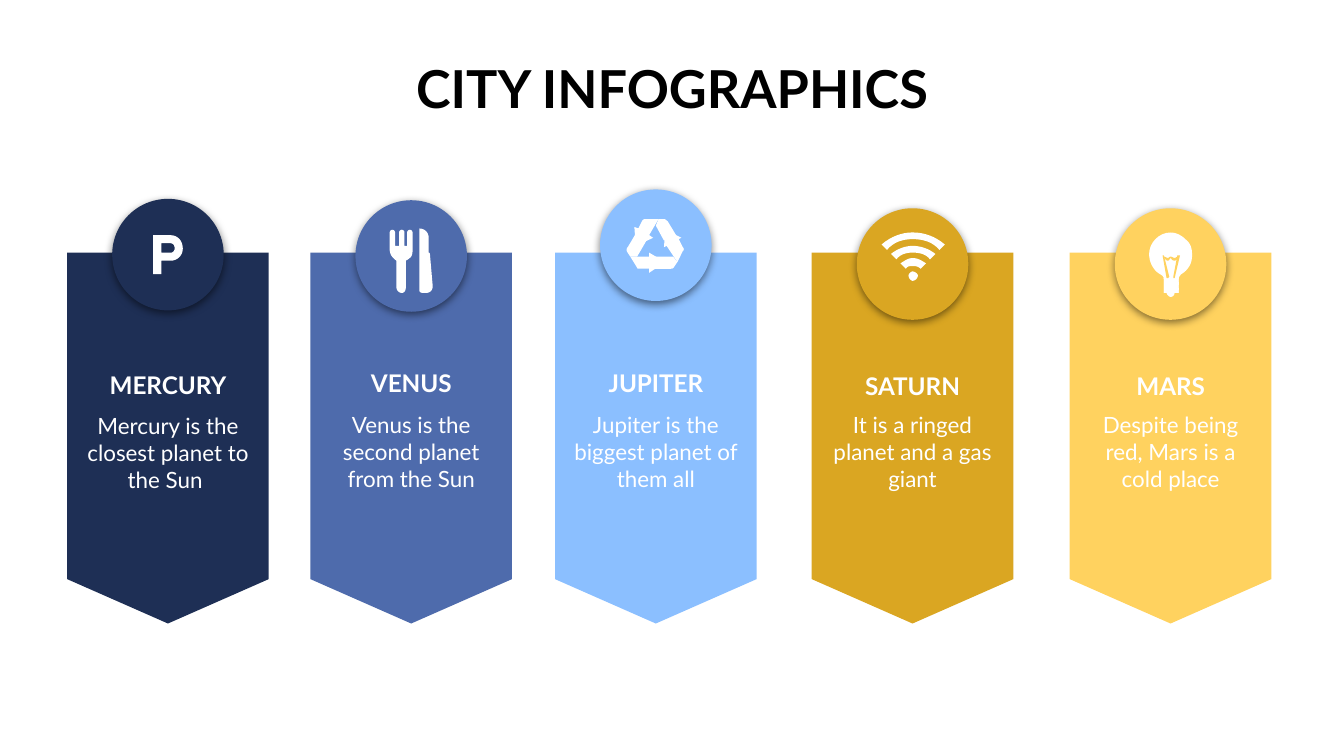
from lxml import etree
from pptx import Presentation
from pptx import util as u
from pptx.dml.color import RGBColor
from pptx.enum import shapes, text
from pptx.oxml.ns import qn

THEME = {
    "font": "Lato", "ink": "000000", "paper": "FFFFFF",
    "title": 28, "label": 13, "body": 12,
}

# Icon outlines in hundredths of an inch on the slide.
PARK = [
    "M127,181 C129,181,130,183,130,185 C130,186,129,188,127,188 L120,188 L120,181 Z "
    "M114,175 L114,204 L120,204 L120,194 L127,194 C132,194,136,190,136,185 "
    "C136,179,132,175,127,175 Z",
]
FOOD = [
    "M292,171 C291,171,290,172,290,173 L290,186 C290,189,292,192,295,194 L295,214 "
    "C295,216,297,218,299,218 C301,218,302,216,302,214 L302,194 C304,193,305,192,306,191 "
    "C307,189,307,188,307,186 L307,173 C307,172,306,171,305,171 C304,171,303,172,303,173 "
    "L303,183 L301,183 L301,173 C301,172,300,171,299,171 C298,171,297,172,297,173 "
    "L297,183 L294,183 L294,173 C294,172,293,171,292,171 Z",
    "M312,170 L312,216 C312,217,313,218,315,218 L317,218 C320,218,322,216,322,213 "
    "L320,190 C320,189,320,188,319,188 L319,177 C319,173,316,170,312,170 Z",
    "M316,200 C315,200,315,201,315,202 C315,202,315,203,316,203 "
    "C317,203,318,202,318,202 C318,201,317,200,316,200 Z",
]
CYCLE = [
    "M487,191 L487,200 L499,200 C500,200,501,200,502,198 L504,195 L501,191 Z",
    "M473,174 L467,184 C466,185,466,187,467,188 L469,191 L474,191 L481,179 Z",
    "M490,163 L488,168 L494,179 L503,175 L497,165 C496,164,495,163,494,163 Z",
    "M483,188 L483,191 L469,191 L474,199 C474,200,475,200,476,200 L483,200 L483,203 L495,195 Z",
    "M495,171 L494,184 L496,183 L504,195 L508,187 C509,186,509,185,508,184 "
    "L505,178 L507,177 Z",
    "M481,163 C480,163,479,163,478,164 L475,170 L472,169 L473,183 L486,177 L483,175 L490,163 Z",
]
WIFI = [
    "M679,183 C674,183,668,185,663,189 L667,193 C670,189,675,188,679,188 "
    "C684,188,689,189,692,193 L696,189 C691,185,685,183,679,183 Z",
    "M679,192 C676,192,673,194,670,196 L674,200 C675,198,677,198,679,198 "
    "C681,198,683,198,685,200 L689,196 C686,194,683,192,679,192 Z",
    "M679,202 C678,202,676,204,676,205 C676,207,678,209,679,209 "
    "C681,209,683,207,683,205 C683,204,681,202,679,202 Z",
    "M679,173 C671,173,663,176,656,182 L660,186 C665,180,672,178,679,178 "
    "C687,178,694,180,699,186 L703,182 C696,176,688,173,679,173 Z",
]
BULB = [
    "M869,216 C869,216,868,217,868,217 L868,218 C868,219,870,221,871,221 "
    "C873,221,874,219,874,218 L874,217 C874,217,874,216,873,216 Z",
    "M871,173 C862,173,855,181,855,189 C855,195,858,201,863,204 C865,205,866,206,866,208 "
    "L866,218 L877,218 L877,208 C877,206,878,205,879,204 C884,201,887,196,887,190 "
    "C887,185,886,181,882,178 C879,175,875,173,871,173 Z",
    "M865,207 C866,207,866,207,866,208 L866,218 L877,218 L877,207 Z",
    "M866,210 L866,212 L877,212 L877,210 Z",
    "M866,214 L866,216 L877,216 L877,214 Z",
]
WIRE = [
    "M866,191 L866,192 C867,192,867,194,869,194 C870,194,870,193,871,192 "
    "C872,193,872,194,874,194 C875,194,876,193,877,192 L877,191 C875,191,875,192,874,192 "
    "C873,192,872,191,871,191 C870,191,870,192,869,192 C868,192,867,191,866,191 Z",
    "M866,190 L865,190 L868,207 L869,207 L870,206 L866,190 Z",
    "M877,190 L876,190 L873,206 L873,207 L874,207 L878,190 Z",
]

# label, body, colour, left, disc top, label top, body top, icon, icon cut-outs
CARDS = [
    ("MERCURY", "Mercury is the closest planet to the Sun ", "1E2F55",
     0.5, 1.48, 2.62, 2.97, PARK, []),
    ("VENUS", "Venus is the second planet from the Sun", "4E6BAC",
     2.31, 1.49, 2.61, 2.96, FOOD, []),
    ("JUPITER", "Jupiter is the biggest planet of them all", "8BBFFF",
     4.13, 1.41, 2.61, 2.96, CYCLE, []),
    ("SATURN", "It is a ringed planet and a gas giant", "DAA622",
     6.04, 1.55, 2.63, 2.96, WIFI, []),
    ("MARS", "Despite being red, Mars is a cold place", "FFD25F",
     7.96, 1.55, 2.63, 2.96, BULB, WIRE),
]
WIDE, TOP, EDGE, TIP, DISC = 1.5, 1.88, 4.31, 4.64, 0.83


def paint(shape, colour):
    shape.shadow.inherit = False
    shape.fill.solid()
    shape.fill.fore_color.rgb = RGBColor.from_string(colour)
    shape.line.fill.background()


def trace(line):
    """Turn path text into lists of points, with curves cut into short lines."""
    rings = []
    for step in line.split():
        if step == "Z":
            continue
        nums = [float(n) / 100 for n in step[1:].split(",")]
        ends = list(zip(nums[::2], nums[1::2]))
        if step[0] == "M":
            rings.append(ends)
        elif step[0] == "L":
            rings[-1] += ends
        else:
            knots = [rings[-1][-1]] + ends
            for t in (k / 8 for k in range(1, 9)):
                parts = ((1 - t) ** 3, 3 * t * (1 - t) ** 2, 3 * t * t * (1 - t), t ** 3)
                rings[-1].append(tuple(sum(w * p[axis] for w, p in zip(parts, knots))
                                       for axis in (0, 1)))
    return rings


def outline(group, rings, colour):
    rings = [[(u.Inches(x), u.Inches(y)) for x, y in ring] for ring in rings]
    pen = group.build_freeform(*rings[0][0])
    for n, ring in enumerate(rings):
        if n:
            pen.move_to(*ring[0])
        pen.add_line_segments(ring[1:], close=True)
    paint(pen.convert_to_shape(), colour)


def write(box, words, size, colour, bold=False, **para):
    frame = box.text_frame
    look = {"word_wrap": True, "auto_size": text.MSO_AUTO_SIZE.NONE,
            "vertical_anchor": text.MSO_ANCHOR.TOP}
    look.update({"margin_" + side: u.Inches(0.1)
                 for side in ("left", "right", "top", "bottom")})
    frame.text = words
    line = frame.paragraphs[0]
    font = {"name": THEME["font"], "size": u.Pt(THEME[size]), "bold": bold}
    para = {"alignment": text.PP_ALIGN.CENTER, **para}
    for item, values in ((frame, look), (line, para), (line.runs[0].font, font)):
        for key, value in values.items():
            setattr(item, key, value)
    line.runs[0].font.color.rgb = RGBColor.from_string(colour)


def shade(shape):
    """Give the shape a soft shadow straight below it."""
    effects = shape._element.spPr.find(qn("a:effectLst"))
    cast = etree.SubElement(effects, qn("a:outerShdw"), blurRad=str(u.Pt(4.5)),
                            dist=str(u.Pt(1.5)), dir="5400000", algn="bl", rotWithShape="0")
    tone = etree.SubElement(cast, qn("a:srgbClr"), val=THEME["ink"])
    etree.SubElement(tone, qn("a:alpha"), val="50000")


def place(group, mid, top, wide, high):
    return group.add_textbox(*map(u.Inches, (mid - wide / 2, top, wide, high)))


def card(slide, label, body, colour, left, crown, head, base, icon, cuts):
    group = slide.shapes.add_group_shape().shapes
    mid, right = left + WIDE / 2, left + WIDE
    outline(group, [[(left, TOP), (left, EDGE), (mid, TIP), (right, EDGE), (right, TOP)]], colour)
    disc = group.add_shape(shapes.MSO_SHAPE.OVAL,
                           *map(u.Inches, (mid - DISC / 2, crown, DISC, DISC)))
    paint(disc, colour)
    shade(disc)
    for paths, tint in ((icon, THEME["paper"]), (cuts, colour)):
        for line in paths:
            outline(group, trace(line), tint)
    write(place(group, mid, base, 1.42, 0.79), body, "body", THEME["paper"])
    write(place(group, mid, head, 1.71, 0.52), label, "label", THEME["paper"],
          bold=True, line_spacing=1.15)


def main():
    deck = Presentation()
    deck.slide_width, deck.slide_height = u.Inches(10), u.Inches(10 * 9 / 16)
    slide = deck.slides.add_slide(deck.slide_layouts[5])
    title = slide.shapes.title
    spot = {"left": 0.34, "top": 0.32, "width": 9.32, "height": 0.63}
    for key, value in spot.items():
        setattr(title, key, u.Inches(value))
    write(title, "CITY INFOGRAPHICS", "title", THEME["ink"], bold=True)
    for row in CARDS:
        card(slide, *row)
    deck.save("out.pptx")


if __name__ == "__main__":
    main()
